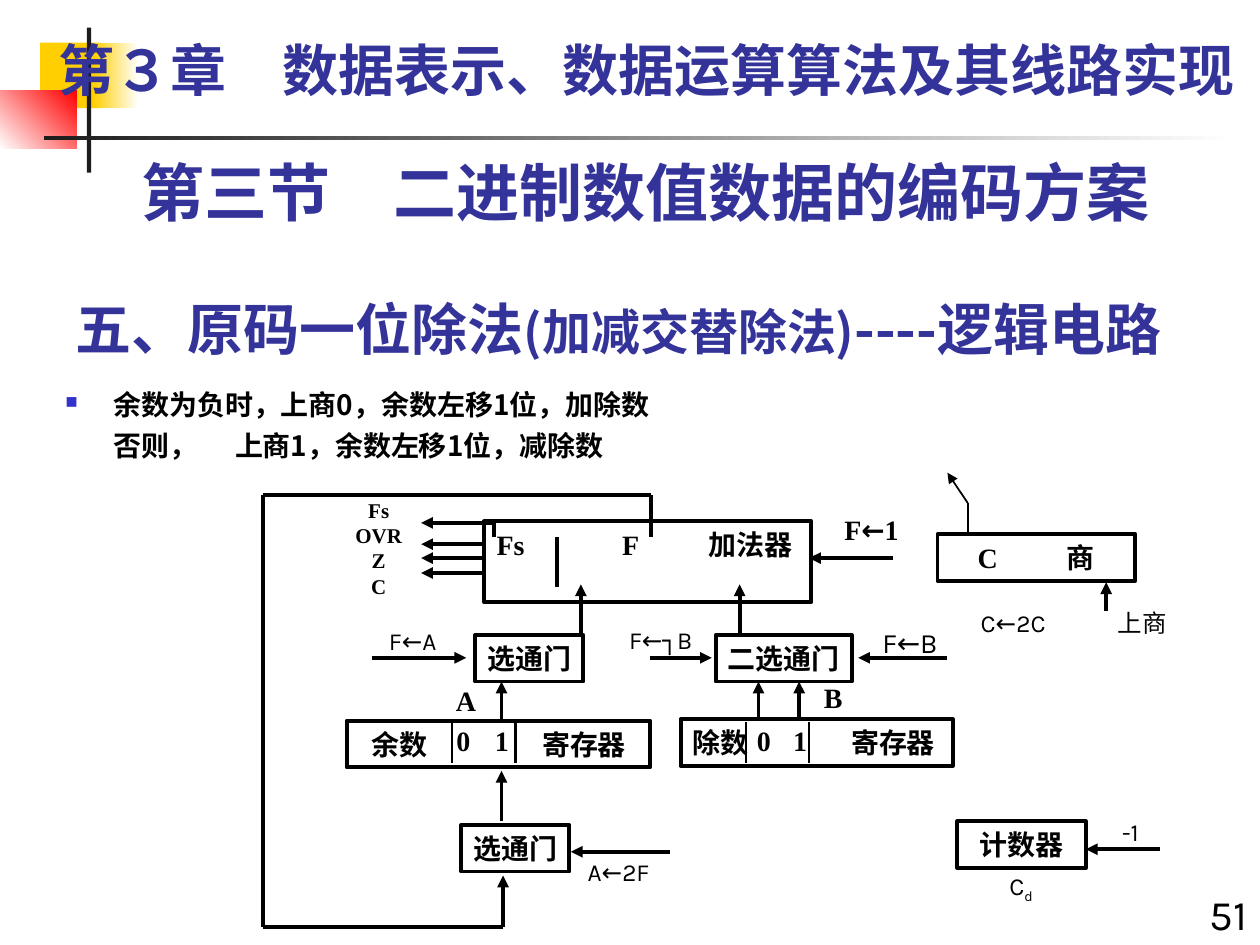
from dataclasses import dataclass
from itertools import pairwise

from lxml import etree
from pptx import Presentation
from pptx import util as u
from pptx.dml import color
from pptx.enum import shapes, text
from pptx.oxml import ns

Cm, Pt = u.Cm, u.Pt
ALIGN, ANCHOR = text.PP_ALIGN, text.MSO_ANCHOR


@dataclass(frozen=True)
class Theme:
    ink: str = "000000"
    heading: str = "333399"
    bullet: str = "3333CC"
    rule: str = "1C1C1C"
    yellow: str = "FFCF01"
    red: str = "FF0000"
    white: str = "FFFFFF"
    serif: str = "Times New Roman"
    sans: str = "Karla"
    cjk: str = "Noto Sans CJK SC"
    section: int = 36
    title: int = 32
    subtitle: int = 28
    page: int = 24
    body: int = 16
    small: int = 14
    flag: int = 12
    wire: float = 2.25
    divider: float = 1.5
    thin: float = 1


T = Theme()


def rgb(value):
    return color.RGBColor.from_string(value)


def add_xml(parent, tag, **attrs):
    return etree.SubElement(parent, ns.qn(tag), attrs)


def add_run(p, words, size, font=T.serif, bold=True, ink=T.ink):
    r = p.add_run()
    r.text = words
    r.font.size, r.font.bold, r.font.name = Pt(size), bold, font
    r.font.color.rgb = rgb(ink)
    add_xml(r.font._element, "a:ea", typeface=T.cjk)
    return r


def add_tabs(p, stops):
    tabs = add_xml(p._p.get_or_add_pPr(), "a:tabLst")
    for stop in stops:
        add_xml(tabs, "a:tab", pos=str(Cm(stop)), algn="l")


class Panel:
    """A region of the slide; its parts are placed in cm from its corner."""

    def __init__(self, s, left, top):
        self.s, self.left, self.top = s, left, top

    def place(self, x, y):
        return Cm(self.left + x), Cm(self.top + y)

    def textbox(self, x, y, w, h, wrap=True, anchor=ANCHOR.TOP, align=ALIGN.LEFT):
        tf = self.s.shapes.add_textbox(*self.place(x, y), Cm(w), Cm(h)).text_frame
        tf.word_wrap, tf.vertical_anchor = wrap, anchor
        tf.paragraphs[0].alignment = align
        return tf

    def label(self, x, y, w, words="", size=T.small, font=T.sans, bold=False):
        h = 0.94 if size == T.body else 0.86
        tf = self.textbox(x, y, w, h, False, ANCHOR.MIDDLE, ALIGN.CENTER)
        p = tf.paragraphs[0]
        if words:
            add_run(p, words, size, font, bold)
        return p

    def mark(self, x, y, w, words):
        return self.label(x, y, w, words, T.body, T.serif, True)

    def rect(self, x, y, w, h):
        sp = self.s.shapes.add_shape(
            shapes.MSO_SHAPE.RECTANGLE, *self.place(x, y), Cm(w), Cm(h))
        sp.shadow.inherit = False
        return sp

    def unit(self, x, y, w, words, h=0.94, inset=0.25, stops=(), anchor=ANCHOR.MIDDLE):
        """Outlined circuit unit; text is in columns when tab stops are given."""
        sp = self.rect(x, y, w, h)
        sp.fill.background()
        sp.line.color.rgb, sp.line.width = rgb(T.ink), Pt(T.wire)
        tf = sp.text_frame
        tf.word_wrap, tf.vertical_anchor = bool(stops), anchor
        tf.margin_left = Cm(inset)
        p = tf.paragraphs[0]
        p.alignment = ALIGN.LEFT if stops else ALIGN.CENTER
        if stops:
            add_tabs(p, stops)
        add_run(p, words, T.body)

    def wire(self, *points, arrow=True, width=T.wire):
        """Straight segments through the points, with an arrow on the last."""
        for start, end in pairwise(points):
            c = self.s.shapes.add_connector(
                shapes.MSO_CONNECTOR.STRAIGHT, *self.place(*start), *self.place(*end))
            c.line.color.rgb, c.line.width = rgb(T.ink), Pt(width)
            if arrow and end == points[-1]:
                add_xml(c.line._get_or_add_ln(), "a:tailEnd", type="triangle")
            add_xml(c._element.spPr, "a:effectLst")

    def band(self, x, y, w, h, first, last=None, angle=0):
        sp = self.rect(x, y, w, h)
        sp.line.fill.background()
        if last is None:
            sp.fill.solid()
            sp.fill.fore_color.rgb = rgb(first)
            return
        sp.fill.gradient()
        sp.fill.gradient_angle = angle
        for stop, value, position in zip(sp.fill.gradient_stops, (first, last), (0, 1)):
            stop.color.rgb, stop.position = rgb(value), position


def draw_corner(panel):
    panel.band(0.81, 0.3, 1.22, 1.32, T.yellow)
    panel.band(1.88, 0.3, 0.91, 1.32, T.yellow, T.white)
    panel.band(0, 1.27, 1.55, 1.17, T.white, T.red, 45)
    panel.band(1.75, 0, 0.09, 2.92, T.rule)
    panel.band(0.89, 2.18, 24, 0.09, T.rule, T.white)


def draw_headings(panel):
    tf = panel.textbox(0.58, 5.08, 24.13, 1.9, anchor=ANCHOR.BOTTOM)
    for words, size in (("五、原码一位除法", T.title), ("(加减交替除法)", T.subtitle),
                        ("----逻辑电路", T.title)):
        add_run(tf.paragraphs[0], words, size, T.cjk, ink=T.heading)
    tf = panel.textbox(0.58, 2.54, 23.5, 1.78, align=ALIGN.CENTER)
    add_run(tf.paragraphs[0], "第三节　二进制数值数据的编码方案", T.section, T.sans, ink=T.heading)
    tf = panel.textbox(0, 0, 24.71, 2.11, anchor=ANCHOR.MIDDLE, align=ALIGN.CENTER)
    p = tf.paragraphs[0]
    p.line_spacing = 0.9
    add_run(p, "第３章　", T.title, ink=T.heading)
    add_run(p, "数据表示、数据运算算法及其线路实现", T.title, T.sans, ink=T.heading)


def draw_rules(panel):
    tf = panel.textbox(0, 0, 24.33, 1.7)
    first, second = tf.paragraphs[0], tf.add_paragraph()
    first.line_spacing = second.line_spacing = 0.8
    second.space_before = Pt(8)
    pPr = first._p.get_or_add_pPr()
    pPr.set("marL", str(Cm(0.97)))
    pPr.set("indent", str(Cm(-0.97)))
    add_xml(add_xml(pPr, "a:buClr"), "a:srgbClr", val=T.bullet)
    add_xml(pPr, "a:buSzPct", val="60000")
    add_xml(pPr, "a:buChar", char="■")
    add_tabs(second, (0.97, 3.42))
    add_run(first, "余数为负时，上商0，余数左移1位，加除数", T.body, T.cjk)
    add_run(second, "\t否则，\t上商1，余数左移1位，减除数", T.body, T.cjk)


def draw_datapath(panel):
    panel.unit(4.45, 0.53, 6.6, "Fs\tF\t加法器", h=1.63, stops=(2.53, 4.28), anchor=ANCHOR.TOP)
    panel.unit(1.68, 4.55, 6.12, "余数\t寄存器", inset=0.5, stops=(3.44,))
    panel.unit(8.41, 4.52, 5.49, "除数\t寄存器", stops=(3.19,))
    for x, y, w, words in ((4.27, 2.82, 2.18, "选通门"), (9.12, 2.82, 2.74, "二选通门"),
                           (3.99, 6.65, 2.18, "选通门")):
        panel.unit(x, y, w, words)
    for x in (3.8, 5.08, 9.73, 11):
        panel.wire((x, 4.57), (x, 5.41), arrow=False, width=T.divider)
    panel.wire((5.92, 1.85), (5.92, 0.84), arrow=False)

    panel.wire((7.82, 0.84), (7.82, 0), (0, 0), (0, 8.71), (4.83, 8.71), (4.83, 7.67))
    for x, bottom, top in ((4.8, 6.58, 5.56), (4.8, 4.55, 3.76), (9.98, 4.52, 3.76),
                           (10.8, 4.52, 3.76), (6.4, 2.79, 1.8), (9.6, 2.79, 1.8)):
        panel.wire((x, bottom), (x, top))
    for y, start, end in ((1.27, 12.7, 11), (3.28, 2.18, 4.09), (3.28, 7.8, 9.04),
                          (3.28, 13.79, 11.99), (7.19, 8.2, 6.2)):
        panel.wire((start, y), (end, y))
    panel.wire((4.65, 0.84), (4.65, 0.56), (3.18, 0.56))
    for y in (0.99, 1.27, 1.57):
        panel.wire((4.45, y), (3.18, y))

    p = panel.mark(11.46, 0.23, 1.6, "F")
    add_run(p, "←", T.body, T.sans)
    add_run(p, "1", T.body)
    for x, y, words in ((3.63, 3.66, "A"), (11.05, 3.61, "B"), (3.61, 4.47, "0"),
                        (4.39, 4.47, "1"), (9.67, 4.47, "0"), (10.4, 4.47, "1")):
        panel.mark(x, y, 0.84, words)
    panel.label(2.26, 2.51, 1.5, "F←A")
    panel.label(7.11, 2.49, 1.8, "F←┐B")
    panel.label(12.22, 2.49, 1.63, "F←B", T.body)
    panel.label(6.27, 7.16, 1.78, "A←2F")
    tf = panel.textbox(1.6, -0.08, 1.45, 2.29, False, ANCHOR.MIDDLE)
    for i, flag in enumerate(("Fs", "OVR", "Z", "C")):
        p = tf.add_paragraph() if i else tf.paragraphs[0]
        p.alignment = ALIGN.CENTER
        add_run(p, flag, T.flag)


def draw_quotient(panel):
    panel.unit(0, 1.24, 3.99, "C\t商", inset=0.81, stops=(1.8,))
    panel.label(0.61, 2.59, 1.83, "C←2C")
    panel.label(3.38, 2.59, 1.5, "上商")
    panel.wire((3.4, 2.79), (3.4, 2.21))
    panel.wire((0.61, 1.19), (0.61, 0.61), (0.2, 0), width=T.thin)


def draw_counter(panel):
    panel.unit(0, 0.23, 2.59, "计数器")
    p = panel.label(0.79, 1.14, 0.99, "C")
    add_run(p, "d", T.small, T.sans, False).font._element.set("baseline", "-25000")
    panel.wire((4.09, 0.79), (2.59, 0.79))
    panel.label(3.02, 0, 0.94, "-1")


def draw_page_number(panel):
    tf = panel.textbox(0, 0, 1.7, 1.5, align=ALIGN.RIGHT)
    add_run(tf.paragraphs[0], "51", T.page, T.sans, False)


def main():
    prs = Presentation()
    prs.slide_width, prs.slide_height = Cm(25.4), Cm(19.05)
    s = prs.slides.add_slide(prs.slide_layouts[6])
    for draw, left, top in ((draw_corner, 0, 0.56), (draw_headings, 0.69, 0.43),
                            (draw_rules, 1.07, 7.82), (draw_datapath, 5.31, 9.98),
                            (draw_quotient, 18.9, 9.53), (draw_counter, 19.3, 16.33),
                            (draw_page_number, 23.7, 17.78)):
        draw(Panel(s, left, top))
    prs.save("out.pptx")


if __name__ == "__main__":
    main()
